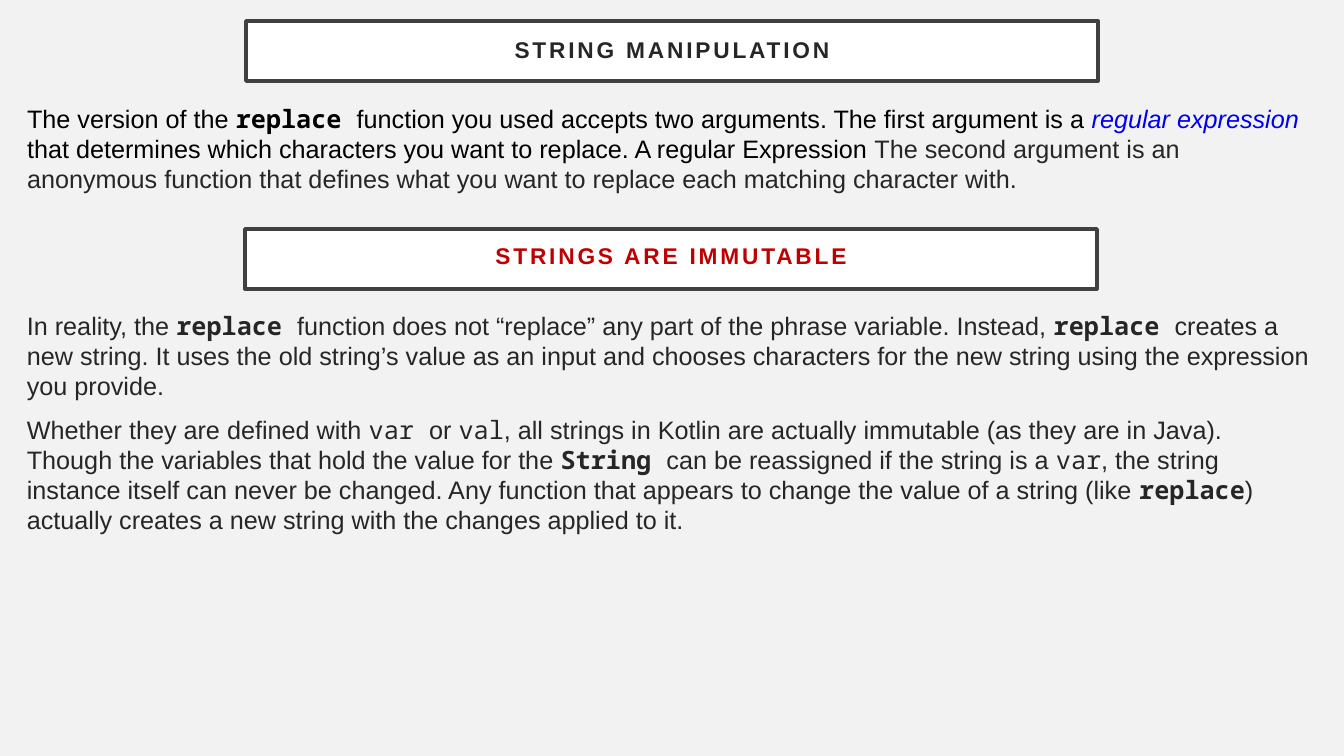
from pptx import Presentation
from pptx.dml.color import RGBColor
from pptx.enum.shapes import MSO_SHAPE as Shape
from pptx.enum.text import MSO_ANCHOR as Anchor, PP_ALIGN as Align
from pptx.oxml.ns import qn
from pptx.util import Pt

PX = 9525 * 96 / 100.8
INK, BLACK, RED, BLUE = "262626", "000000", "C00000", "0000EF"
SANS, MONO = "Arial", "Noto Sans Mono"


def color(value):
    return RGBColor.from_string(value)


def add_text(paragraph, text, size=18, font=SANS, ink=INK, bold=False, italic=False, tracking=0):
    run = paragraph.add_run()
    run.text = text
    run.font.size = Pt(size)
    run.font.name = font
    run.font.color.rgb = color(ink)
    run.font.bold = bold
    run.font.italic = italic
    if tracking:
        run.font._element.set("spc", str(tracking * 100))


presentation = Presentation()
presentation.slide_width = round(1344 * PX)
presentation.slide_height = round(756 * PX)
slide = presentation.slides.add_slide(presentation.slide_layouts[1])
slide.background.fill.solid()
slide.background.fill.fore_color.rgb = color("F2F2F2")

title, body = slide.placeholders
immutable_heading = slide.shapes.add_shape(Shape.RECTANGLE, 0, 0, 0, 0)
immutable_heading.shadow.inherit = False
immutable_text = slide.shapes.add_textbox(0, 0, 0, 0)

boxes = [
    (title, 246, 21, 852, 60),
    (body, 17, 99, 1307, 152),
    (immutable_heading, 245, 229, 852, 60),
    (immutable_text, 17, 306, 1307, 312),
]
for shape, *bounds in boxes:
    shape.left, shape.top, shape.width, shape.height = (round(n * PX) for n in bounds)
    shape.text_frame.word_wrap = True

headings = [
    (title, "STRING MANIPULATION", INK, 0.9),
    (immutable_heading, "STRINGS ARE IMMUTABLE", RED, 0.7),
]
for shape, text, ink, spacing in headings:
    shape.fill.solid()
    shape.fill.fore_color.rgb = color("FFFFFF")
    shape.line.color.rgb = color("404040")
    shape.line.width = Pt(2.5)
    frame = shape.text_frame
    frame.vertical_anchor = Anchor.MIDDLE
    frame.margin_left = frame.margin_right = round(20 * PX)
    frame.margin_top = frame.margin_bottom = round(20 * PX)
    paragraph = frame.paragraphs[0]
    paragraph.alignment = Align.CENTER
    paragraph.line_spacing = spacing
    add_text(paragraph, text, size=16.2, ink=ink, bold=True, tracking=2)

code = {"font": MONO}
bold_code = {"font": MONO, "bold": True}
black = {"ink": BLACK}
texts = [
    (body, [[
        ("The version of the ", black),
        ("replace ", bold_code | black),
        ("function you used accepts two arguments. The first argument is a ", black),
        ("regular expression ", {"ink": BLUE, "italic": True}),
        ("that determines which characters you want to replace. A regular Expression ", black),
        ("The second argument is an anonymous function that defines what you want to "
         "replace each matching character with.", {}),
    ]]),
    (immutable_text, [[
        ("In reality, the ", {}),
        ("replace ", bold_code),
        ("function does not “replace” any part of the phrase variable. Instead, ", {}),
        ("replace ", bold_code),
        ("creates a new string. It uses the old string’s value as an input and chooses "
         "characters for the new string using the expression you provide.", {}),
    ], [
        ("Whether they are defined with ", {}),
        ("var ", code),
        ("or ", {}),
        ("val", code),
        (", all strings in Kotlin are actually immutable (as they are in Java). "
         "Though the variables that hold the value for the ", {}),
        ("String ", bold_code),
        ("can be reassigned if the string is a ", {}),
        ("var", code),
        (", the string instance itself can never be changed. Any function that appears "
         "to change the value of a string (like ", {}),
        ("replace", bold_code),
        (") actually creates a new string with the changes applied to it.", {}),
    ]]),
]
for shape, paragraphs in texts:
    frame = shape.text_frame
    for index, runs in enumerate(paragraphs):
        paragraph = frame.add_paragraph() if index else frame.paragraphs[0]
        paragraph.space_before = Pt(10)
        paragraph.line_spacing = Pt(21.4)
        properties = paragraph._p.get_or_add_pPr()
        properties.set("marL", "0")
        properties.set("indent", "0")
        properties.append(properties.makeelement(qn("a:buNone"), {}))
        for text, style in runs:
            add_text(paragraph, text, **style)

presentation.save("out.pptx")
